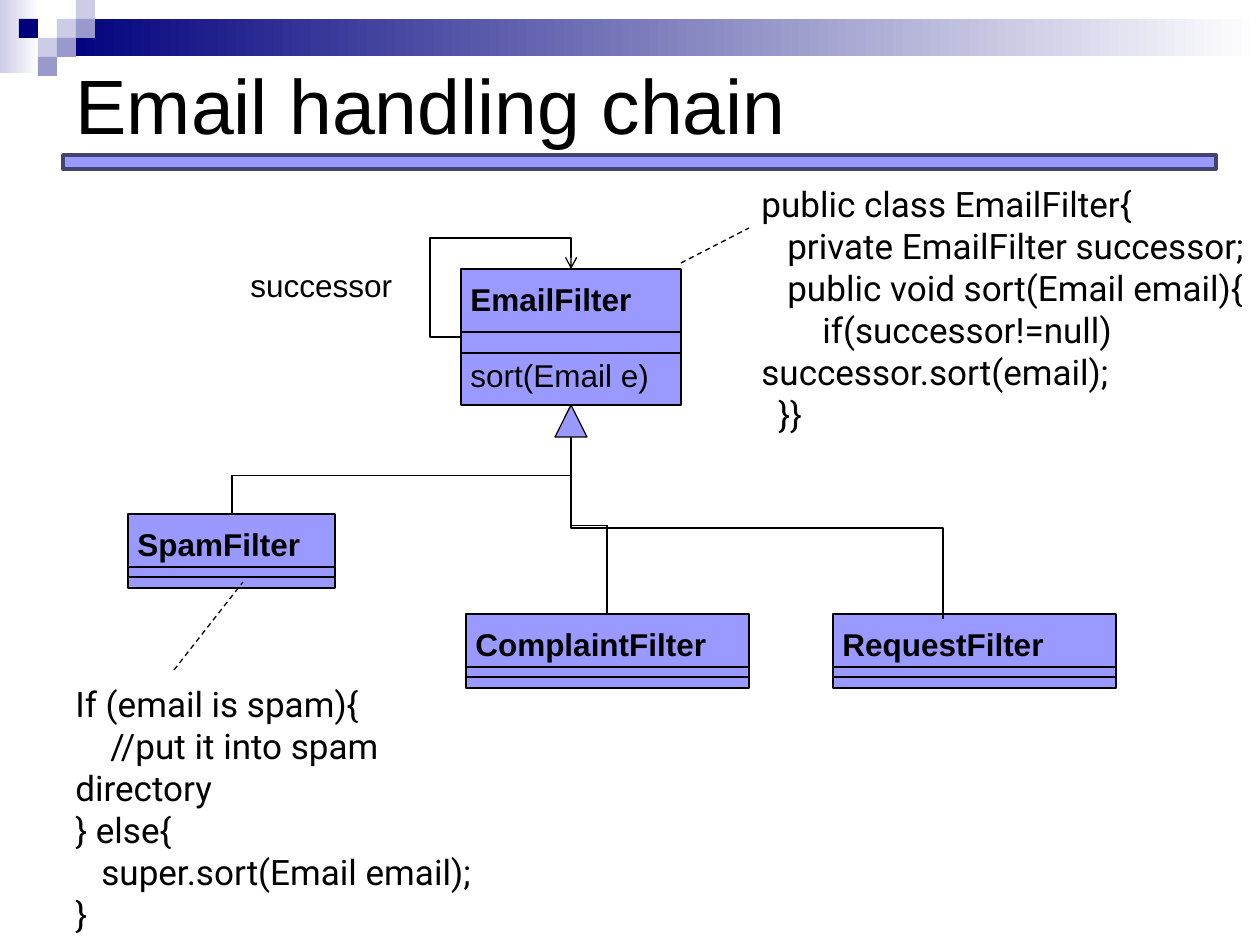
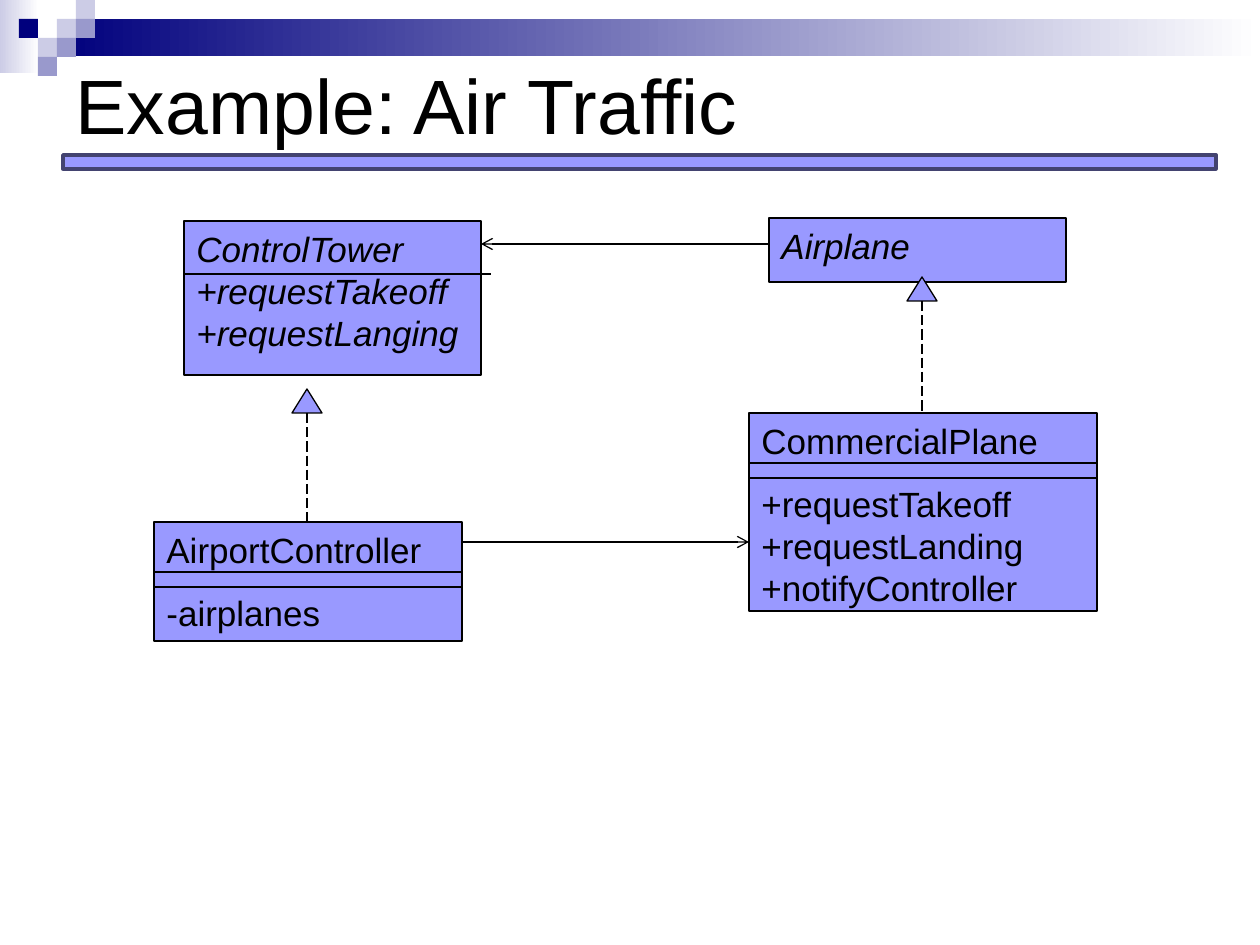
from lxml import etree
from pptx import Presentation
from pptx.dml.color import RGBColor
from pptx.enum.dml import MSO_LINE
from pptx.enum.shapes import MSO_CONNECTOR, MSO_SHAPE
from pptx.enum.text import MSO_ANCHOR, PP_ALIGN
from pptx.oxml.ns import qn
from pptx.util import Pt

RECT, TRIANGLE = MSO_SHAPE.RECTANGLE, MSO_SHAPE.ISOSCELES_TRIANGLE
STRAIGHT, ELBOW = MSO_CONNECTOR.STRAIGHT, MSO_CONNECTOR.ELBOW
DASH, LONG_DASH = MSO_LINE.DASH, MSO_LINE.LONG_DASH
LEFT, TOP, MIDDLE = PP_ALIGN.LEFT, MSO_ANCHOR.TOP, MSO_ANCHOR.MIDDLE

PX = 914400 / 126
COLORS = {
    "black": "000000", "white": "FFFFFF", "navy": "00007D", "pale": "CCCCE6",
    "lilac": "9999CC", "box": "9999FF", "edge": "434370",
}
SANS, CODE = "Arial", "Roboto"
CELL = 19
CHECKERS = [(3, 1, "pale"), (4, 0, "pale"), (4, 1, "lilac"), (2, 2, "pale"),
            (1, 1, "navy"), (3, 2, "lilac"), (2, 3, "lilac")]


def emu(*values):
    return [round(v * PX) for v in values]


def rgb(name):
    return RGBColor.from_string(COLORS[name])


def add_block(s, box, fill="box", line=None, width=0.75, kind=RECT):
    sp = s.shapes.add_shape(kind, *emu(*box))
    sp.shadow.inherit = False
    if isinstance(fill, tuple):
        sp.fill.gradient()
        sp.fill.gradient_angle = 0
        for stop, name in zip(sp.fill.gradient_stops, fill):
            stop.color.rgb = rgb(name)
    else:
        sp.fill.solid()
        sp.fill.fore_color.rgb = rgb(fill)
    if line:
        sp.line.color.rgb = rgb(line)
        sp.line.width = Pt(width)
    else:
        sp.line.fill.background()
    return sp


def write(tf, lines, size, font=SANS, bold=False, italic=False, wrap=True, anchor=TOP):
    tf.text = "\n".join(lines)
    tf.word_wrap = wrap
    tf.vertical_anchor = anchor
    for p in tf.paragraphs:
        p.alignment = LEFT
        p.line_spacing = Pt(size * 1.2)
        for r in p.runs:
            r.font.size = Pt(size)
            r.font.name = font
            r.font.bold = bold
            r.font.italic = italic
            r.font.color.rgb = rgb("black")


def add_text(s, box, lines, size, **style):
    tf = s.shapes.add_textbox(*emu(*box)).text_frame
    write(tf, lines, size, **style)
    return tf


def add_code(s, box, lines):
    tf = add_text(s, box, [text for _, text in lines], 20, font=CODE)
    for p, (indent, _) in zip(tf.paragraphs, lines):
        pPr = p._p.get_or_add_pPr()
        pPr.set("marL", "0")
        pPr.set("indent", str(emu(indent)[0]))


def add_line(s, x1, y1, x2, y2, dash=None, arrow=False, kind=STRAIGHT):
    c = s.shapes.add_connector(kind, *emu(x1, y1, x2, y2))
    c.line.color.rgb = rgb("black")
    c.line.width = Pt(0.75)
    if dash:
        c.line.dash_style = dash
    if arrow:
        etree.SubElement(c.line._get_or_add_ln(), qn("a:tailEnd"), type="arrow")
    etree.SubElement(c._element.spPr, qn("a:effectLst"))
    return c


def add_branch(s, x1, y1, x2, y2):
    cx, cy = (x1 + x2) / 2, (y1 + y2) / 2
    half_w, half_h = abs(y2 - y1) / 2, abs(x2 - x1) / 2
    c = add_line(s, cx - half_w, cy - half_h, cx + half_w, cy + half_h, kind=ELBOW)
    xfrm = c._element.spPr.find(qn("a:xfrm"))
    if x2 < x1:
        xfrm.set("rot", "5400000")
    else:
        xfrm.set("rot", "16200000")
        xfrm.set("flipH", "1")


def add_self_loop(s, x1, y1, x2, y2, out_left, out_top):
    c = add_line(s, x1, y2, x2, y1, arrow=True, kind=ELBOW)
    xfrm = c._element.spPr.find(qn("a:xfrm"))
    xfrm.set("rot", "10800000")
    xfrm.set("flipH", "1")
    geom = c._element.spPr.find(qn("a:prstGeom"))
    geom.set("prst", "bentConnector4")
    guides = geom.find(qn("a:avLst"))
    ratios = {"adj1": -out_left / (x2 - x1), "adj2": 1 + out_top / (y1 - y2)}
    for name, ratio in ratios.items():
        etree.SubElement(guides, qn("a:gd"), name=name, fmla=f"val {round(ratio * 100000)}")


def add_rules(s, box, offsets, overhang=0):
    x, y, w, _ = box
    for offset in offsets:
        add_line(s, x, y + offset, x + w + overhang, y + offset)


def add_filter_class(s, box, name, rules, method=None):
    x, y, w, h = box
    add_block(s, box, line="black")
    text_box = (x - 3, y + 5, w, h - 10)
    tf = add_text(s, text_box, [name] + ([method] if method else []), 18, bold=True, wrap=False)
    if method:
        p = tf.paragraphs[1]
        p.space_before = Pt(21.6)
        p.runs[0].font.bold = False
    add_rules(s, box, rules)


def add_air_class(s, box, lines, rules=(), italic=False, overhang=0):
    sp = add_block(s, box, line="black")
    write(sp.text_frame, lines, 20, italic=italic)
    if len(rules) == 2:
        sp.text_frame.paragraphs[1].space_before = Pt(12)
    add_rules(s, box, rules, overhang)


def add_realization(s, x, y, w, h, bottom):
    add_line(s, x, y + h, x, bottom, dash=LONG_DASH)
    add_block(s, (x - w / 2, y, w, h), line="black", kind=TRIANGLE)


def add_titled_slide(prs, title):
    s = prs.slides.add_slide(prs.slide_layouts[5])
    s.background.fill.solid()
    s.background.fill.fore_color.rgb = rgb("white")
    add_block(s, (0, 0, 39, 73), ("pale", "white"))
    add_block(s, (57, 19, 1203, 37), ("navy", "white"))
    for col, row, color in CHECKERS:
        add_block(s, (col * CELL, row * CELL, CELL, CELL), color)
    add_block(s, (63, 155, 1153, 14), line="edge", width=2)
    sp = s.shapes.title
    sp.left, sp.top, sp.width, sp.height = emu(63, 9, 1134, 189)
    write(sp.text_frame, [title], 44, anchor=MIDDLE)
    return s


def build_email_chain(prs):
    s = add_titled_slide(prs, "Email handling chain")
    add_filter_class(s, (461, 269, 220, 136), "EmailFilter", (63, 84), "sort(Email e)")
    add_block(s, (555, 405, 32, 32), line="black", kind=TRIANGLE)
    subclasses = [
        ("SpamFilter", (128, 514, 207, 74), (232, 514)),
        ("ComplaintFilter", (466, 614, 283, 74), (607, 614)),
        ("RequestFilter", (833, 614, 283, 74), (943, 619)),
    ]
    for name, box, end in subclasses:
        add_filter_class(s, box, name, (53, 63))
        add_branch(s, 571, 437, *end)
    add_self_loop(s, 461, 337, 571, 269, 31, 31)
    add_text(s, (238, 260, 168, 50), ["successor"], 18, wrap=False)
    add_line(s, 174, 670, 243, 582, dash=DASH)
    add_line(s, 681, 263, 749, 228, dash=DASH)
    add_code(s, (63, 676, 454, 224), [
        (0, "If (email is spam){"),
        (35, "//put it into spam directory"),
        (0, "} else{"),
        (26, "super.sort(Email email);"),
        (0, "}"),
    ])
    add_code(s, (749, 176, 518, 267), [
        (0, "public class EmailFilter{"),
        (26, "private EmailFilter successor;"),
        (26, "public void sort(Email email){"),
        (61, "if(successor!=null)\vsuccessor.sort(email);"),
        (17, "}}"),
    ])


def build_air_traffic(prs):
    s = add_titled_slide(prs, "Example: Air Traffic")
    add_air_class(s, (184, 221, 297, 154),
                  ["ControlTower", "+requestTakeoff", "+requestLanging"],
                  (53,), italic=True, overhang=10)
    add_air_class(s, (154, 522, 308, 119), ["AirportController", "-airplanes"], (50, 65))
    add_air_class(s, (769, 218, 297, 64), ["Airplane"], italic=True)
    add_air_class(s, (749, 413, 348, 198),
                  ["CommercialPlane", "+requestTakeoff", "+requestLanding", "+notifyController"],
                  (50, 65))
    add_realization(s, 307, 389, 30, 24, 522)
    add_realization(s, 922, 277, 30, 24, 413)
    add_line(s, 769, 244, 481, 244, arrow=True)
    add_line(s, 462, 542, 749, 542, arrow=True)


def main():
    prs = Presentation()
    prs.slide_width, prs.slide_height = emu(1260, 945)
    build_email_chain(prs)
    build_air_traffic(prs)
    prs.save("out.pptx")


if __name__ == "__main__":
    main()
